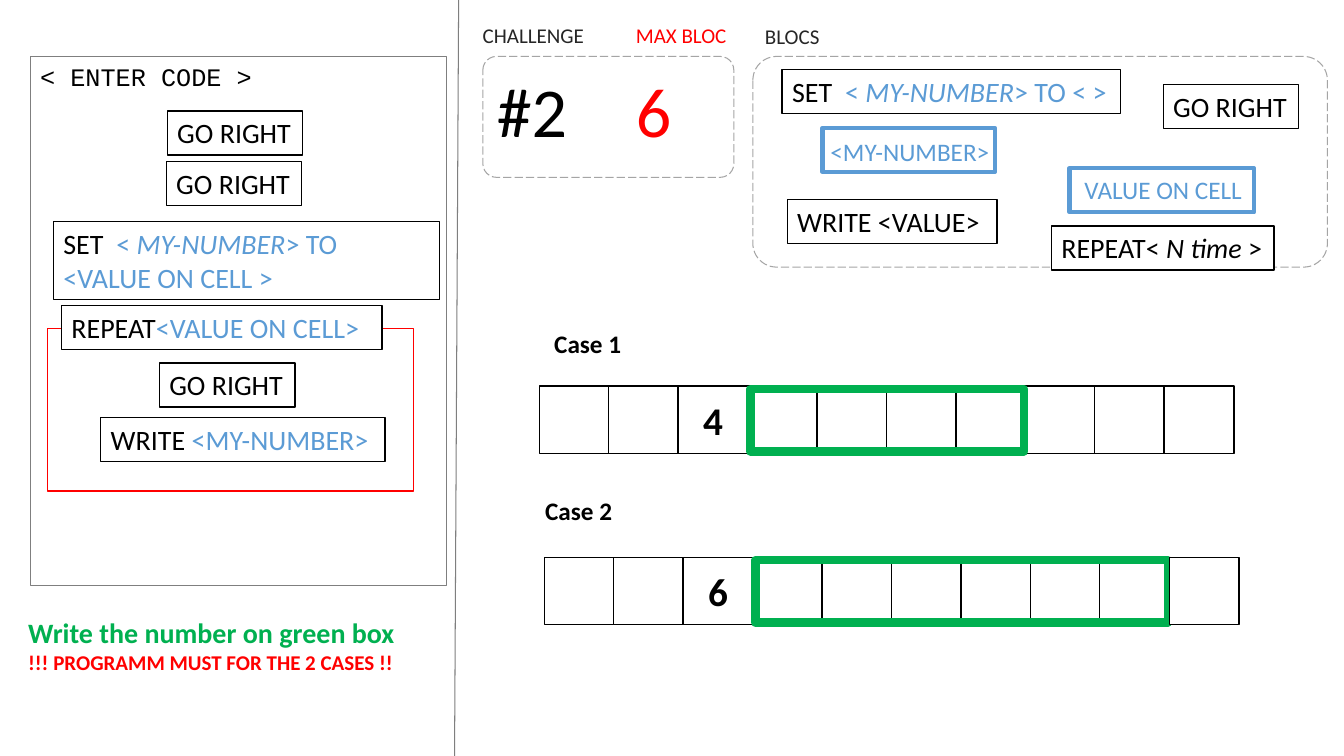
import pptx
import pptx.util
import pptx.dml.color
import pptx.enum.dml
import pptx.enum.shapes
import pptx.enum.text
import lxml.etree

Pt = pptx.util.Pt
SHAPES = pptx.enum.shapes.MSO_SHAPE
ANCHOR = pptx.enum.text.MSO_ANCHOR
ALIGN = pptx.enum.text.PP_ALIGN

COLOURS = {
    "black": "000000", "white": "FFFFFF", "dark": "262626", "grey": "7F7F7F",
    "dash": "A5A5A5", "red": "FF0000", "blue": "5B9BD5", "green": "00B050",
}
CELL_COUNT = 10
CELL_PITCH = 49.6
CELL_WIDTH = 49.9
CELL_HEIGHT = 48


def rgb(name):
    return pptx.dml.color.RGBColor.from_string(COLOURS[name])


def write_paragraph(paragraph, parts, size, font="Calibri", bold=False):
    """Write (text, colour, italic) parts that share one font and size."""
    for text, colour, italic in parts:
        run = paragraph.add_run()
        run.text = text
        if len(parts) > 1:
            run.font.color.rgb = rgb(colour)
            run.font.italic = italic
    paragraph.font.name = font
    paragraph.font.size = Pt(size)
    paragraph.font.bold = bold
    paragraph.font.color.rgb = rgb(parts[0][1])
    paragraph.alignment = ALIGN.LEFT


def fit_frame(shape, wrap=True):
    """Let the shape grow with top-anchored text."""
    frame = shape.text_frame
    frame.word_wrap = wrap
    frame.vertical_anchor = ANCHOR.TOP
    frame.auto_size = pptx.enum.text.MSO_AUTO_SIZE.SHAPE_TO_FIT_TEXT
    return frame


def add_box(shapes, left, top, width, height, line, line_width=1, fill="white",
            kind=SHAPES.RECTANGLE):
    shape = shapes.add_shape(kind, Pt(left), Pt(top), Pt(width), Pt(height))
    shape.shadow.inherit = False
    if fill:
        shape.fill.solid()
        shape.fill.fore_color.rgb = rgb(fill)
    else:
        shape.fill.background()
    shape.line.color.rgb = rgb(line)
    shape.line.width = Pt(line_width)
    return shape


def add_panel(shapes, left, top, width, height):
    """Add a rounded panel with a dashed outline."""
    panel = add_box(shapes, left, top, width, height, "dash", 0.75,
                    kind=SHAPES.ROUNDED_RECTANGLE)
    panel.adjustments[0] = 0.113
    panel.line.dash_style = pptx.enum.dml.MSO_LINE.LONG_DASH


def add_block(shapes, left, top, width, parts, height=31.5, wrap=True):
    """Add one framed programming block."""
    block = add_box(shapes, left, top, width, height, "black")
    write_paragraph(fit_frame(block, wrap).paragraphs[0], parts, 20)


def add_go_right(shapes, left, top):
    add_block(shapes, left, top, 96.8, [("GO RIGHT", "black", False)], wrap=False)


def add_label(shapes, left, top, width, height, lines, wrap=True):
    """Add a text box from (text, size, colour, bold) lines."""
    label = shapes.add_textbox(Pt(left), Pt(top), Pt(width), Pt(height))
    frame = fit_frame(label, wrap)
    for index, (text, size, colour, bold) in enumerate(lines):
        paragraph = frame.add_paragraph() if index else frame.paragraphs[0]
        write_paragraph(paragraph, [(text, colour, False)], size, bold=bold)


def add_value_block(shapes, left, top, width, text, text_left, text_top, text_width):
    add_box(shapes, left, top, width, 31.5, "blue", 3)
    add_label(shapes, text_left, text_top, text_width, 29,
              [(text, 18, "blue", False)], wrap=False)


def add_cell_row(shapes, left, top, number, green_count):
    """Add a row of cells with its number and the green frame after it."""
    row = shapes.add_group_shape().shapes
    for index in range(CELL_COUNT):
        if index == CELL_COUNT - 1:
            add_box(row, left + 3 * CELL_PITCH + 2, top + 2,
                    green_count * CELL_PITCH - 3, 44.6, "green", 6, fill=None)
        cell = add_box(row, left + index * CELL_PITCH, top,
                       CELL_WIDTH, CELL_HEIGHT, "black")
        if index == 2:
            paragraph = cell.text_frame.paragraphs[0]
            write_paragraph(paragraph, [(number, "black", False)], 28, bold=True)
            paragraph.alignment = ALIGN.CENTER
            cell.text_frame.vertical_anchor = ANCHOR.MIDDLE


def add_divider(shapes):
    divider = shapes.add_connector(pptx.enum.shapes.MSO_CONNECTOR.STRAIGHT,
                                   Pt(327.6), Pt(0), Pt(324.7), Pt(540))
    divider.line.color.rgb = rgb("grey")
    divider.line.width = Pt(0.75)
    lxml.etree.SubElement(divider._element.spPr, pptx.oxml.ns.qn("a:effectLst"))


def add_challenge(shapes):
    add_panel(shapes, 344.9, 40.3, 179.3, 86.4)
    add_panel(shapes, 537.8, 40.3, 410.4, 150.5)
    for left, text, colour in [(347.8, "#2", "black"), (447.1, "6", "red")]:
        add_label(shapes, left, 44.6, 65.5, 67.7, [(text, 50, colour, False)])
    for left, top, width, text, colour in [
        (539.3, 13, 54, "BLOCS", "dark"),
        (447.1, 12.2, 80, "MAX BLOC", "red"),
        (337.7, 12.2, 87.8, "CHALLENGE", "dark"),
    ]:
        add_label(shapes, left, top, width, 25.2, [(text, 15, colour, False)])


def add_available_blocks(shapes):
    add_go_right(shapes, 830.9, 60.5)
    add_block(shapes, 558.7, 49.7, 241.9, [
        ("SET  ", "black", False), ("< ", "blue", False),
        ("MY-NUMBER", "blue", True), ("> TO < >", "blue", False)])
    add_value_block(shapes, 587.5, 91.4, 123.1, "<MY-NUMBER>", 586.1, 93.6, 130.3)
    add_block(shapes, 562.3, 142.6, 149.8, [("WRITE <VALUE>", "black", False)])
    add_value_block(shapes, 763.9, 120.2, 131.8, "VALUE ON CELL", 767.5, 121, 128.2)
    add_block(shapes, 751, 161.3, 159.1, [
        ("REPEAT< ", "black", False), ("N time", "black", True),
        (" >", "black", False)], wrap=False)


def add_program(shapes):
    code_area = add_box(shapes, 21.6, 40.3, 297.4, 378, "grey", 0.75, fill=None)
    frame = code_area.text_frame
    frame.word_wrap = True
    frame.vertical_anchor = ANCHOR.TOP
    write_paragraph(frame.paragraphs[0], [("< ENTER CODE >", "black", False)],
                    18, font="Courier New")
    add_go_right(shapes, 119.5, 79.2)
    add_go_right(shapes, 118.8, 115.2)
    add_block(shapes, 38.2, 158.4, 275.8, [
        ("SET  ", "black", False), ("< ", "blue", False),
        ("MY-NUMBER", "blue", True), ("> TO <VALUE ON CELL >", "blue", False)],
        height=55.4)
    add_block(shapes, 72, 298.1, 203, [
        ("WRITE ", "black", False), ("<MY-NUMBER>", "blue", False)])
    add_box(shapes, 33.8, 234.7, 261.4, 115.9, "red", fill=None)
    add_go_right(shapes, 113.8, 259.2)
    add_block(shapes, 43.9, 218.2, 229, [
        ("REPEAT", "black", False), ("<VALUE ON CELL>", "blue", False)])


def main():
    presentation = pptx.Presentation()
    presentation.slide_width = Pt(960)
    presentation.slide_height = Pt(540)
    slide = presentation.slides.add_slide(presentation.slide_layouts[6])
    shapes = slide.shapes
    add_divider(shapes)
    add_challenge(shapes)
    add_available_blocks(shapes)
    add_program(shapes)
    add_label(shapes, 13, 436.3, 293, 49.7, [
        ("Write the number on green box", 20, "green", True),
        ("!!! PROGRAMM MUST FOR THE 2 CASES !!", 15, "red", True)])
    for title, title_left, title_top, left, top, number, green_count in [
        ("Case 1", 388.8, 231.1, 385.2, 275.8, "4", 4),
        ("Case 2", 382.3, 350.6, 388.8, 398.2, "6", 6),
    ]:
        add_label(shapes, title_left, title_top, 74.9, 28.8,
                  [(title, 18, "black", True)])
        add_cell_row(shapes, left, top, number, green_count)
    presentation.save("out.pptx")


if __name__ == "__main__":
    main()
